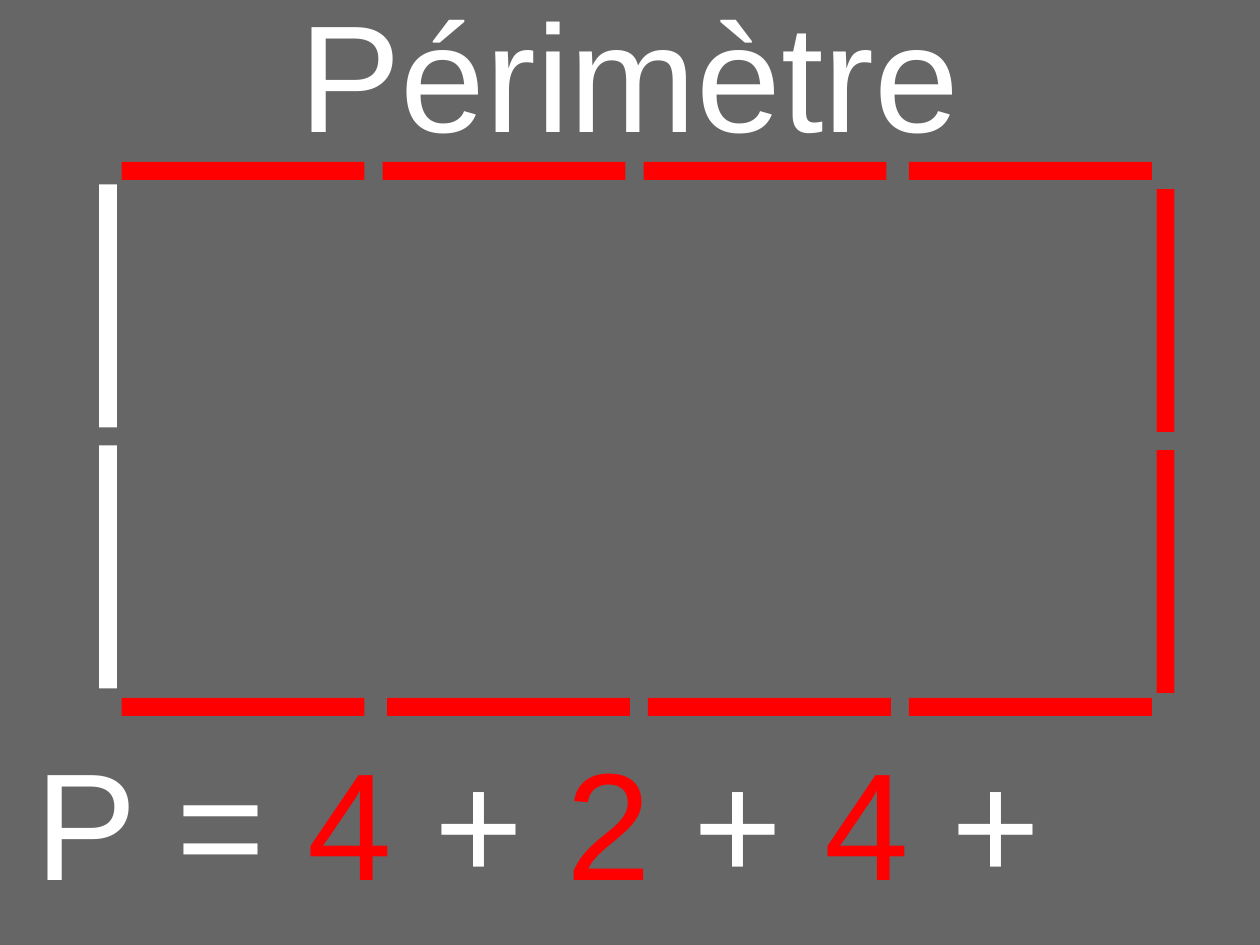
from pptx import Presentation
from pptx.dml.color import RGBColor
from pptx.enum.shapes import MSO_SHAPE as SHAPE
from pptx.enum.text import MSO_ANCHOR as ANCHOR, PP_ALIGN as ALIGN
from pptx.util import Pt

GREY = RGBColor(0x66, 0x66, 0x66)
RED = RGBColor(0xFF, 0x00, 0x00)
WHITE = RGBColor(0xFF, 0xFF, 0xFF)

SLIDE_W, SLIDE_H = 793.7, 595.28
ROD_LENGTH, ROD_WIDTH = 153, 11.3
PITCH = 164.4
CORNER = 14.2
SIDE_SHIFT = 2.9


def add_rect(s, x, y, w, h, color):
    sp = s.shapes.add_shape(SHAPE.RECTANGLE, Pt(x), Pt(y), Pt(w), Pt(h))
    sp.shadow.inherit = False
    sp.fill.solid()
    sp.fill.fore_color.rgb = color
    sp.line.fill.background()


def add_text(s, box, runs, size=96, font="Arial", align=ALIGN.LEFT):
    tf = s.shapes.add_textbox(*map(Pt, box)).text_frame
    tf.word_wrap = True
    tf.vertical_anchor = ANCHOR.MIDDLE
    tf.margin_left = tf.margin_right = tf.margin_top = tf.margin_bottom = 0
    p = tf.paragraphs[0]
    p.alignment = align
    for text, color in runs:
        r = p.add_run()
        r.text = text
        r.font.size = Pt(size)
        r.font.name = font
        r.font.color.rgb = color


def add_title(s, box):
    add_text(s, box, [("Périmètre", WHITE)], align=ALIGN.CENTER)


def add_rod_frame(s, box):
    x, y, w, h = box
    last = w - CORNER - ROD_LENGTH
    offsets = [CORNER + i * PITCH for i in range(3)] + [last]
    for offset in offsets:
        mirrored = w - offset - ROD_LENGTH
        add_rect(s, x + offset, y, ROD_LENGTH, ROD_WIDTH, RED)
        add_rect(s, x + mirrored, y + h - ROD_WIDTH, ROD_LENGTH, ROD_WIDTH, RED)
    for i in range(2):
        top = y + CORNER + i * PITCH
        add_rect(s, x, top, ROD_WIDTH, ROD_LENGTH, WHITE)
        add_rect(s, x + w - ROD_WIDTH, top + SIDE_SHIFT, ROD_WIDTH, ROD_LENGTH, RED)


def add_formula(s, box):
    add_text(s, box, [
        ("P = ", WHITE), ("4", RED), (" + ", WHITE), ("2", RED),
        (" + ", WHITE), ("4", RED), (" +", WHITE),
    ])


def main():
    prs = Presentation()
    prs.slide_width, prs.slide_height = Pt(SLIDE_W), Pt(SLIDE_H)
    s = prs.slides.add_slide(prs.slide_layouts[6])
    add_rect(s, 0, 0, SLIDE_W, SLIDE_H, GREY)
    add_title(s, (169.3, -17.3, 454.3, 124.6))
    add_rod_frame(s, (62.4, 102, 677.4, 348.9))
    add_formula(s, (22.3, 408.8, 884.9, 214.6))
    prs.save("out.pptx")


if __name__ == "__main__":
    main()
